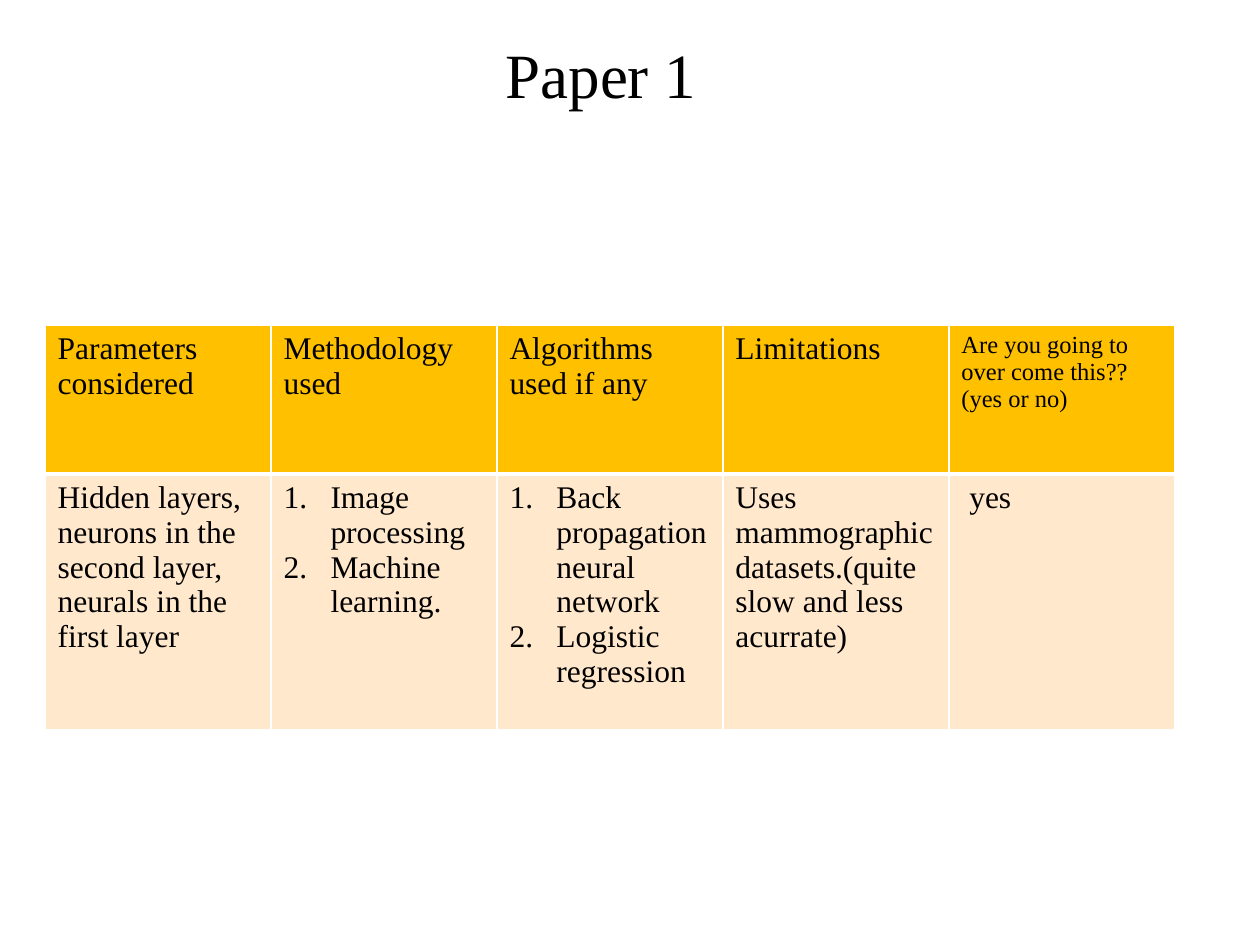
import pptx
import pptx.dml.color
import pptx.enum.text
import pptx.oxml.ns
import pptx.util
from lxml import etree

TITLE = "Paper 1"
HEADERS = [
    "Parameters considered",
    "Methodology used",
    "Algorithms used if any",
    "Limitations",
    "Are you going to over come this?? (yes or no)",
]
# A list makes numbered items; a string makes a plain paragraph.
DETAILS = [
    "Hidden layers, neurons in the second layer, neurals in the first layer",
    ["Image processing", "Machine learning."],
    ["Back propagation neural network", "Logistic regression"],
    "Uses mammographic datasets.(quite slow and less acurrate)",
    " yes",
]
THEME = {
    "font": "Times New Roman", "text": "000000", "border": "FFFFFF",
    "header": "FFC000", "body": "FFE8CC",
    "title_size": 36, "size": 18, "small_size": 14,
}
SCALE = 914400 // 126
TITLE_BOX = (493, 4, 275, 149)
TABLE_LEFT, TABLE_TOP, COL_WIDTH = 45, 325, 226
ROW_HEIGHTS = (149, 256)
NUMBER_INDENT = 47


def px(*lengths):
    """Turn pixel lengths into EMU."""
    return [pptx.util.Emu(n * SCALE) for n in lengths]


def write(p, text, size=THEME["size"], color=THEME["text"], spacing=None):
    """Add formatted text to a left-aligned paragraph."""
    p.alignment = pptx.enum.text.PP_ALIGN.LEFT
    if spacing:
        p.line_spacing = spacing
    r = p.add_run()
    r.text = text
    r.font.name = THEME["font"]
    r.font.size = pptx.util.Pt(size)
    r.font.color.rgb = pptx.dml.color.RGBColor.from_string(color)


def number(p):
    """Give a paragraph automatic numbering with a hanging indent."""
    pPr = p._p.get_or_add_pPr()
    indent = px(NUMBER_INDENT)[0]
    pPr.set("marL", str(indent))
    pPr.set("indent", str(-indent))
    etree.SubElement(pPr, pptx.oxml.ns.qn("a:buAutoNum"), type="arabicPeriod")


def style_cell(cell, fill, widths):
    """Set the borders (in points, by side) and then the fill of a cell."""
    tcPr = cell._tc.get_or_add_tcPr()
    for side, width in widths.items():
        ln = etree.SubElement(tcPr, pptx.oxml.ns.qn("a:ln" + side),
                              w=str(pptx.util.Pt(width)))
        solid = etree.SubElement(ln, pptx.oxml.ns.qn("a:solidFill"))
        etree.SubElement(solid, pptx.oxml.ns.qn("a:srgbClr"), val=THEME["border"])
    cell.fill.solid()
    cell.fill.fore_color.rgb = pptx.dml.color.RGBColor.from_string(fill)


def fill_cell(cell, content, size):
    """Write a string, or a list as numbered paragraphs, into a cell."""
    tf = cell.text_frame
    numbered = isinstance(content, list)
    for i, text in enumerate(content if numbered else [content]):
        p = tf.add_paragraph() if i else tf.paragraphs[0]
        write(p, text, size=size)
        if numbered:
            number(p)


def add_title(s):
    """Place and write the slide title."""
    sp = s.shapes.title
    sp.left, sp.top, sp.width, sp.height = px(*TITLE_BOX)
    tf = sp.text_frame
    tf.vertical_anchor = pptx.enum.text.MSO_ANCHOR.MIDDLE
    write(tf.paragraphs[0], TITLE, size=THEME["title_size"], spacing=0.9)


def add_paper_table(s):
    """Build the table that reviews the paper."""
    cols = len(HEADERS)
    box = px(TABLE_LEFT, TABLE_TOP, COL_WIDTH * cols, sum(ROW_HEIGHTS))
    table = s.shapes.add_table(len(ROW_HEIGHTS), cols, *box).table
    for col in table.columns:
        col.width = px(COL_WIDTH)[0]
    for row, height in zip(table.rows, ROW_HEIGHTS):
        row.height = px(height)[0]
    rows = [(HEADERS, THEME["header"], {"L": 1, "R": 1, "T": 1, "B": 3}),
            (DETAILS, THEME["body"], {"L": 1, "R": 1, "T": 3, "B": 1})]
    for i, (contents, fill, widths) in enumerate(rows):
        for j, content in enumerate(contents):
            cell = table.cell(i, j)
            small = i == 0 and j == cols - 1
            fill_cell(cell, content, THEME["small_size" if small else "size"])
            style_cell(cell, fill, widths)


prs = pptx.Presentation()
prs.slide_width, prs.slide_height = pptx.util.Inches(10), pptx.util.Inches(7.5)
s = prs.slides.add_slide(prs.slide_layouts[5])
add_title(s)
add_paper_table(s)
prs.save("out.pptx")
